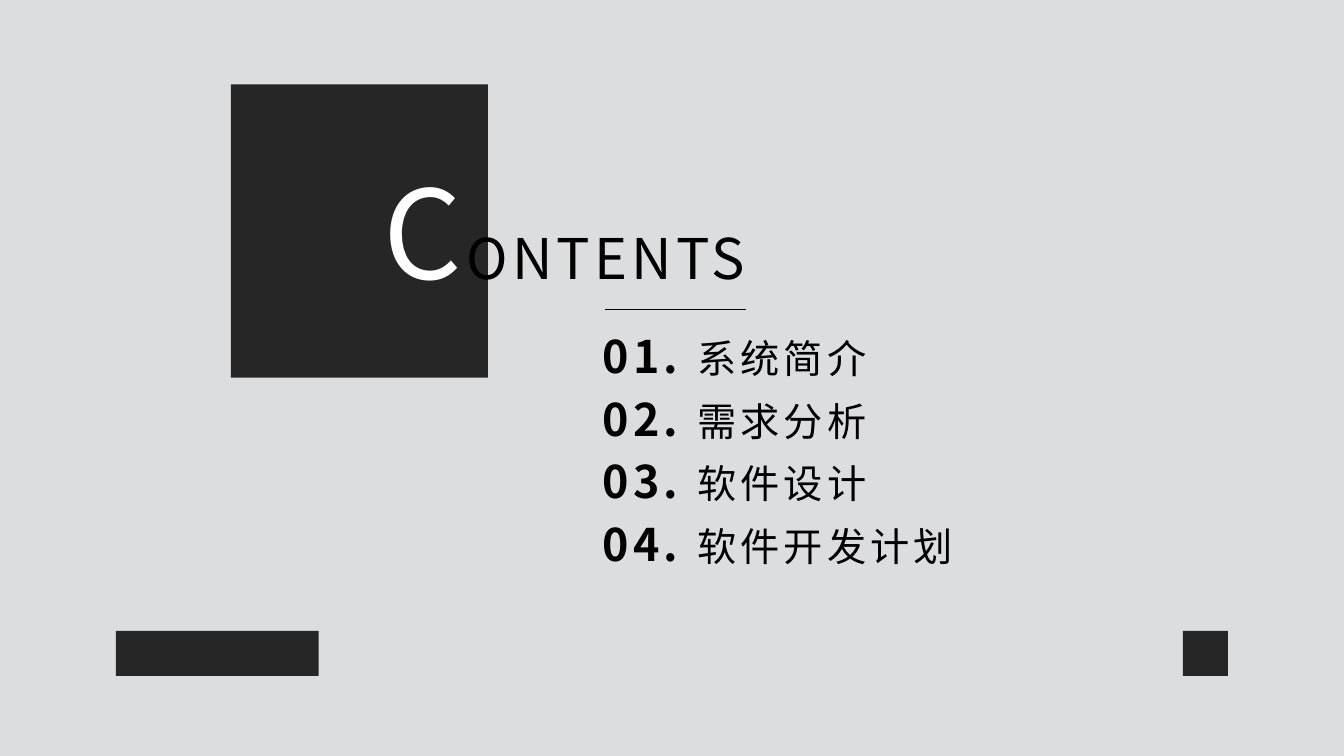
from lxml import etree
from pptx import Presentation
from pptx.dml.color import RGBColor
from pptx.enum.shapes import MSO_CONNECTOR, MSO_SHAPE
from pptx.enum.text import MSO_AUTO_SIZE, PP_ALIGN
from pptx.oxml.ns import qn
from pptx.util import Pt

RECTANGLE = MSO_SHAPE.RECTANGLE
STRAIGHT = MSO_CONNECTOR.STRAIGHT
GROW = MSO_AUTO_SIZE.SHAPE_TO_FIT_TEXT
JUSTIFY = PP_ALIGN.JUSTIFY

BACKGROUND = RGBColor(0xDC, 0xDD, 0xDF)
CHARCOAL = RGBColor(0x26, 0x26, 0x26)
BLACK = RGBColor(0, 0, 0)
WHITE = RGBColor(255, 255, 255)
FONT = "Noto Sans CJK SC"
LETTER_SPACING = "300"

CHAPTERS = ["系统简介", "需求分析", "软件设计", "软件开发计划"]


def add_block(slide, left, top, width, height):
    block = slide.shapes.add_shape(RECTANGLE, Pt(left), Pt(top), Pt(width), Pt(height))
    block.shadow.inherit = False
    block.fill.solid()
    block.fill.fore_color.rgb = CHARCOAL
    block.line.fill.background()


def add_paragraph_box(slide, left, top, width, height):
    box = slide.shapes.add_textbox(Pt(left), Pt(top), Pt(width), Pt(height))
    box.text_frame.word_wrap = True
    box.text_frame.auto_size = GROW
    return box.text_frame.paragraphs[0]


def add_run(paragraph, text, size, color, bold=False):
    run = paragraph.add_run()
    run.text = text
    run.font.size = Pt(size)
    run.font.bold = bold
    run.font.color.rgb = color
    run.font.name = FONT
    properties = run.font._element
    properties.set("spc", LETTER_SPACING)
    etree.SubElement(properties, qn("a:ea")).set("typeface", FONT)


def add_heading(slide, left, top, width, height):
    add_block(slide, left, top, 183.6, 209.5)
    paragraph = add_paragraph_box(slide, left + 102.2, top + 47.5, width, height)
    paragraph.alignment = JUSTIFY
    add_run(paragraph, "C", 88, WHITE)
    add_run(paragraph, "ONTENTS", 40, BLACK)


def add_chapter_list(slide, left, top, width, row_height, row_pitch):
    rule = slide.shapes.add_connector(
        STRAIGHT, Pt(left + 8.7), Pt(top - 10), Pt(left + 109.5), Pt(top - 10)
    )
    rule.line.color.rgb = BLACK
    rule.line.width = Pt(0.5)
    etree.SubElement(rule._element.spPr, qn("a:effectLst"))
    for index, chapter in enumerate(CHAPTERS):
        row_top = top + index * row_pitch
        paragraph = add_paragraph_box(slide, left, row_top, width, row_height)
        add_run(paragraph, f"{index + 1:02d}. ", 32, BLACK, bold=True)
        add_run(paragraph, chapter, 28, BLACK)


def add_footer(slide, left, top, width, height):
    add_block(slide, left, top, 144.9, height)
    add_block(slide, left + width - height, top, height, height)


def main():
    presentation = Presentation()
    presentation.slide_width = Pt(960)
    presentation.slide_height = Pt(540)
    slide = presentation.slides.add_slide(presentation.slide_layouts[6])
    slide.background.fill.solid()
    slide.background.fill.fore_color.rgb = BACKGROUND
    add_heading(slide, 164.9, 60.3, 309.6, 113.8)
    add_chapter_list(slide, 423.3, 231.2, 422.6, 46.1, 44.8)
    add_footer(slide, 82.8, 450.7, 794.2, 32)
    presentation.save("out.pptx")


if __name__ == "__main__":
    main()
